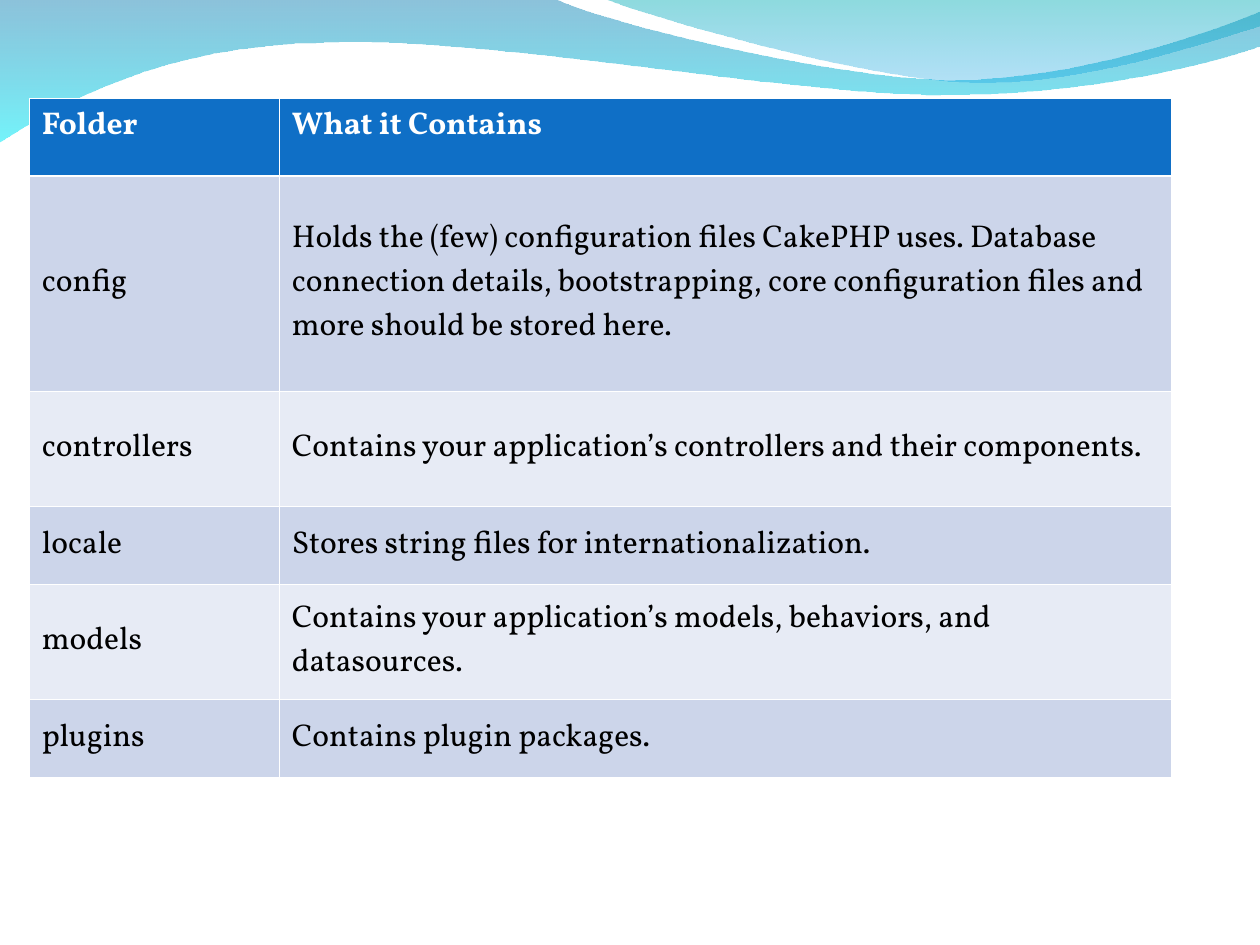
"""Build a slide with a table of application folders under a two-wave banner."""
from lxml import etree
from pptx import Presentation
from pptx import util as u
from pptx.dml.color import RGBColor
from pptx.enum import text
from pptx.oxml.ns import qn

COLORS = {
    "header": "0F6FC6", "odd": "CCD5EA", "even": "E7EBF5", "rule": "FFFFFF",
    "heading": "FFFFFF", "body": "000000",
    "steel": "0079AF", "cyan": "00EBF8", "teal": "00ADB6", "sky": "009BE5",
}
THIN, THICK = 0.45, 1.47


def bend(freeform, segments):
    """Turn each run of three line ends into one cubic Bézier curve."""
    lines = iter(list(freeform._element.iter(qn("a:lnTo"))))
    for segment in segments:
        ends = [next(lines) for _ in segment]
        if len(ends) == 3:
            curve = etree.Element(qn("a:cubicBezTo"))
            ends[0].addprevious(curve)
            for end in ends:
                curve.append(end[0])
                end.getparent().remove(end)


def add_border(cell, side, width):
    """Add one solid border to a table cell."""
    line = etree.SubElement(cell._tc.get_or_add_tcPr(), qn(f"a:ln{side}"), w=str(u.Pt(width)))
    fill = etree.SubElement(line, qn("a:solidFill"))
    etree.SubElement(fill, qn("a:srgbClr"), val=COLORS["rule"])


deck = Presentation()
deck.slide_width, deck.slide_height = u.Cm(25.4), u.Cm(19.05)
slide = deck.slides.add_slide(deck.slide_layouts[6])

waves = [
    ((0, -0.03), [
        [(11.18, -0.03)],
        [(12.09, 0.43), (16.87, 1.6), (19.25, 1.6)],
        [(21.67, 1.6), (24.33, 0.66), (25.4, 0.23)],
        [(25.43, 0.91)],
        [(24.97, 1.12), (22.1, 1.93), (18.95, 1.91)],
        [(15.8, 1.91), (9.7, 0.71), (6.53, 0.86)],
        [(3.28, 0.89), (1.17, 2.11), (-0.03, 2.87)],
        [(0, -0.03)],
    ], [("steel", 45), ("cyan", 55)]),
    ((12.17, -0.03), [
        [(12.93, 0.28), (17.32, 1.57), (19.53, 1.65)],
        [(21.74, 1.75), (24.41, 0.81), (25.4, 0.53)],
        [(25.4, 0)],
        [(12.17, -0.03)],
    ], [("teal", 45), ("sky", 30)]),
]
for (left, top), segments, tints in waves:
    builder = slide.shapes.build_freeform(u.Cm(left), u.Cm(top))
    builder.add_line_segments([(u.Cm(x), u.Cm(y)) for segment in segments for x, y in segment])
    wave = builder.convert_to_shape()
    bend(wave, segments)
    wave.shadow.inherit = False
    wave.line.fill.background()
    wave.fill.gradient()
    wave.fill.gradient_angle = 270
    for stop, position, (tint, opacity) in zip(wave.fill.gradient_stops, (0, 1), tints):
        stop.position = position
        stop.color.rgb = RGBColor.from_string(COLORS[tint])
    gradient_colors = wave._element.spPr.find(qn("a:gradFill")).iter(qn("a:srgbClr"))
    for color, (tint, opacity) in zip(gradient_colors, tints):
        etree.SubElement(color, qn("a:alpha"), val=str(opacity * 1000))

folders = [
    ("Folder", "What it Contains"),
    ("config", "Holds the (few) configuration files CakePHP uses. Database connection details, "
               "bootstrapping, core configuration files and more should be stored here."),
    ("controllers", "Contains your application’s controllers and their components."),
    ("locale", "Stores string files for internationalization."),
    ("models", "Contains your application’s models, behaviors, and datasources."),
    ("plugins", "Contains plugin packages."),
]
column_widths = [5.04, 17.99]
row_heights = [1.57, 4.34, 2.31, 1.57, 2.33, 1.57]
folder_table = slide.shapes.add_table(
    len(folders), len(column_widths), u.Cm(0.59), u.Cm(1.98),
    u.Cm(sum(column_widths)), u.Cm(sum(row_heights))).table
for column, width in zip(folder_table.columns, column_widths):
    column.width = u.Cm(width)

for row, (entry, height) in enumerate(zip(folders, row_heights)):
    folder_table.rows[row].height = u.Cm(height)
    is_header = row == 0
    band = "header" if is_header else "odd" if row % 2 else "even"
    anchor = text.MSO_ANCHOR.TOP if is_header else text.MSO_ANCHOR.MIDDLE
    font_format = {"name": "Vollkorn", "size": u.Pt(18), "bold": is_header}
    borders = {"L": THIN, "R": THIN, "T": THICK if row == 1 else THIN,
               "B": THICK if is_header else THIN}
    for col, wording in enumerate(entry):
        cell = folder_table.cell(row, col)
        for side, width in borders.items():
            add_border(cell, side, width)
        cell.fill.solid()
        cell.fill.fore_color.rgb = RGBColor.from_string(COLORS[band])
        cell.vertical_anchor = anchor
        cell.text = wording
        font = cell.text_frame.paragraphs[0].runs[0].font
        for attribute, value in font_format.items():
            setattr(font, attribute, value)
        font.color.rgb = RGBColor.from_string(COLORS["heading" if is_header else "body"])

deck.save("out.pptx")
